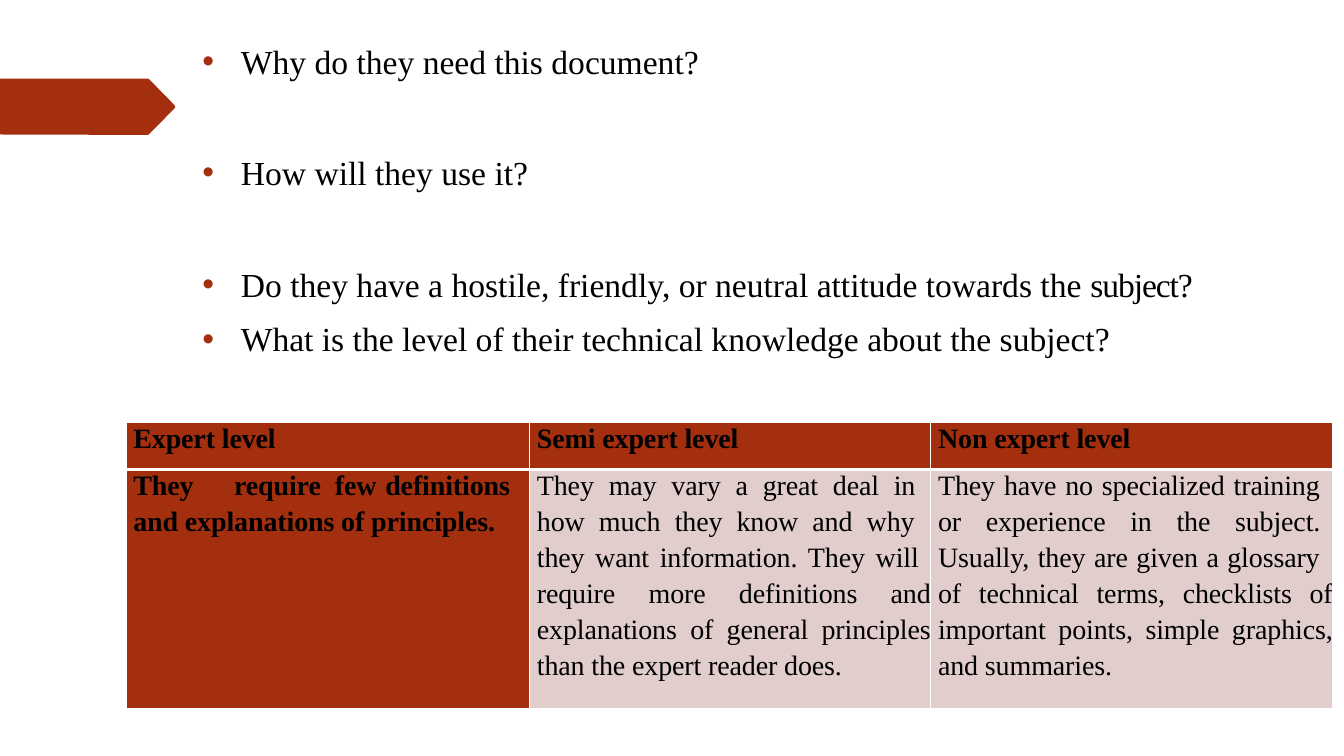
from dataclasses import dataclass

import pptx
import pptx.dml.color
import pptx.enum.text
import pptx.oxml
import pptx.oxml.ns
import pptx.util
from pptx.util import Cm

FONT = "Times New Roman"
COLOURS = {"rust": "A42F0F", "blush": "E0CDCC", "text": "000000", "white": "FFFFFF"}
NAMESPACE = pptx.oxml.ns.nsdecls("a")


@dataclass
class Question:
    text: str
    space_before: float
    ending: str = ""


@dataclass
class Line:
    text: str
    space_before: float = 3.6
    word_gap: float = 0
    tabs: tuple[float, ...] = ()
    wraps: bool = False


@dataclass
class Reader:
    level: str
    width: float
    indent: float
    fill: str
    bold: bool
    lines: list[Line]


QUESTIONS = [
    Question("Why do they need this document?", 1),
    Question("How will they use it?", 51),
    Question("Do they have a hostile, friendly, or neutral attitude towards the ", 51, "subject?"),
    Question("What is the level of their technical knowledge about the subject?", 10.1),
]
READERS = [
    Reader("Expert level", 10.16, 0.18, "rust", True, [
        Line("They\trequire\tfew\tdefinitions", 0.8, tabs=(2.34, 5.13, 6.81)),
        Line("and explanations of principles."),
    ]),
    Reader("Semi expert level", 10.11, 0.19, "blush", False, [
        Line("They may vary a great deal in", 0.8, 5.5),
        Line("how much they know and why", word_gap=5),
        Line("they want information. They will", word_gap=2.5),
        Line("require more definitions and explanations of general principles "
             "than the expert reader does.", 0, wraps=True),
    ]),
    Reader("Non expert level", 10.13, 0.19, "blush", False, [
        Line("They have no specialized training", 0.8, 1.25),
        Line("or experience in the subject.", word_gap=12.5),
        Line("Usually, they are given a glossary", word_gap=1),
        Line("of technical terms, checklists of important points, simple graphics, "
             "and summaries.", 0, wraps=True),
    ]),
]
ROW_HEIGHTS = (1.19, 6.02)
ARROW_POINTS = [(0, 3.39), (3.45, 3.4), (3.73, 3.4), (3.77, 3.37), (4.39, 2.74), (4.42, 2.7),
                (4.39, 2.64), (3.77, 2.01), (3.73, 1.98), (0, 1.98)]


def colour(name: str) -> pptx.dml.color.RGBColor:
    return pptx.dml.color.RGBColor.from_string(COLOURS[name])


def write(paragraph, text: str, size: float = 20, bold: bool = False, spacing: float = 0) -> None:
    run = paragraph.add_run()
    run.text = text
    run.font.name = FONT
    run.font.size = pptx.util.Pt(size)
    run.font.bold = bold
    run.font.color.rgb = colour("text")
    if spacing:
        run.font._element.set("spc", str(round(spacing * 100)))


def set_indent(paragraph, left: float, first: float = 0) -> None:
    properties = paragraph._p.get_or_add_pPr()
    properties.set("marL", str(Cm(left)))
    properties.set("indent", str(Cm(first)))


def append_xml(parent, xml: str) -> None:
    parent.append(pptx.oxml.parse_xml(xml))


def next_paragraph(text_frame, index: int):
    return text_frame.add_paragraph() if index else text_frame.paragraphs[0]


def draw_arrow(slide) -> None:
    start, *others = [(Cm(x), Cm(y)) for x, y in ARROW_POINTS]
    builder = slide.shapes.build_freeform(*start)
    builder.add_line_segments(others, close=True)
    arrow = builder.convert_to_shape()
    arrow.shadow.inherit = False
    arrow.fill.solid()
    arrow.fill.fore_color.rgb = colour("rust")
    arrow.line.fill.background()


def draw_questions(slide) -> None:
    text_frame = slide.shapes.add_textbox(Cm(5.08), Cm(0.99), Cm(25.17), Cm(7.92)).text_frame
    text_frame.word_wrap = True
    text_frame.margin_left = text_frame.margin_right = text_frame.margin_bottom = 0
    text_frame.margin_top = Cm(0.03)
    for index, question in enumerate(QUESTIONS):
        paragraph = next_paragraph(text_frame, index)
        paragraph.space_before = pptx.util.Pt(question.space_before)
        set_indent(paragraph, 0.99, -0.97)
        properties = paragraph._p.get_or_add_pPr()
        append_xml(properties, f'<a:buClr {NAMESPACE}><a:srgbClr val="{COLOURS["rust"]}"/></a:buClr>')
        append_xml(properties, f'<a:buFont {NAMESPACE} typeface="Arial"/>')
        append_xml(properties, f'<a:buChar {NAMESPACE} char="•"/>')
        write(paragraph, question.text, size=24)
        if question.ending:
            write(paragraph, question.ending, size=24, spacing=-0.8)


def write_line(paragraph, line: Line, indent: float, bold: bool) -> None:
    paragraph.space_before = pptx.util.Pt(line.space_before)
    set_indent(paragraph, indent)
    if line.wraps:
        paragraph.alignment = pptx.enum.text.PP_ALIGN.JUSTIFY
        paragraph.line_spacing = 1.15
    if line.tabs:
        stops = "".join(f'<a:tab pos="{Cm(stop)}" algn="l"/>' for stop in line.tabs)
        append_xml(paragraph._p.get_or_add_pPr(), f"<a:tabLst {NAMESPACE}>{stops}</a:tabLst>")
    if not line.word_gap:
        write(paragraph, line.text, bold=bold, spacing=-0.1)
        return
    for index, word in enumerate(line.text.split()):
        if index:
            write(paragraph, " ", bold=bold, spacing=line.word_gap)
        write(paragraph, word, bold=bold, spacing=-0.1)


def fill_cell(cell, lines: list[Line], indent: float, fill: str, bold: bool, header: bool) -> None:
    cell.margin_left = cell.margin_right = cell.margin_bottom = 0
    cell.margin_top = Cm(0.03)
    widths = {"L": 1, "R": 1, "T": 1 if header else 3, "B": 3 if header else 1}
    for side, width in widths.items():
        append_xml(
            cell._tc.get_or_add_tcPr(),
            f'<a:ln{side} {NAMESPACE} w="{pptx.util.Pt(width)}"><a:solidFill>'
            f'<a:srgbClr val="{COLOURS["white"]}"/></a:solidFill></a:ln{side}>',
        )
    cell.fill.solid()
    cell.fill.fore_color.rgb = colour(fill)
    for index, line in enumerate(lines):
        write_line(next_paragraph(cell.text_frame, index), line, indent, bold)


def draw_readers(slide) -> None:
    total_width = sum(reader.width for reader in READERS)
    table = slide.shapes.add_table(
        len(ROW_HEIGHTS), len(READERS), Cm(3.18), Cm(10.64), Cm(total_width), Cm(sum(ROW_HEIGHTS))
    ).table
    for row, height in zip(table.rows, ROW_HEIGHTS):
        row.height = Cm(height)
    for index, reader in enumerate(READERS):
        table.columns[index].width = Cm(reader.width)
        heading = [Line(reader.level, 0.8)]
        fill_cell(table.cell(0, index), heading, reader.indent, "rust", True, True)
        fill_cell(table.cell(1, index), reader.lines, reader.indent, reader.fill, reader.bold, False)


def main() -> None:
    presentation = pptx.Presentation()
    presentation.slide_width = Cm(33.87)
    presentation.slide_height = Cm(19.05)
    slide = presentation.slides.add_slide(presentation.slide_layouts[6])
    draw_arrow(slide)
    draw_questions(slide)
    draw_readers(slide)
    presentation.save("out.pptx")


if __name__ == "__main__":
    main()
